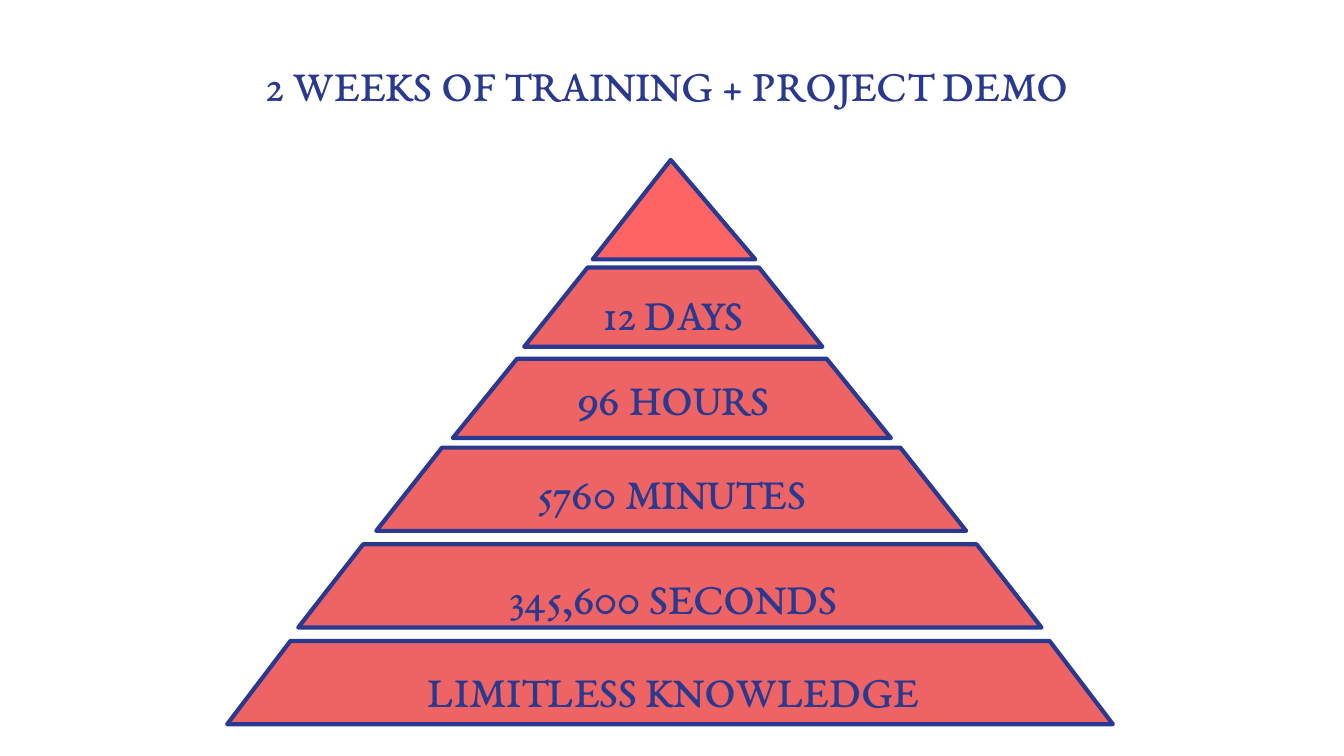
from pptx import Presentation
from pptx.dml.color import RGBColor
from pptx.enum.shapes import MSO_SHAPE as Shape
from pptx.enum.text import MSO_ANCHOR as Anchor, PP_ALIGN as Align
from pptx.util import Pt

NAVY, CORAL, BRIGHT_CORAL = "2A3990", "EE6464", "FF6464"
TIERS = [
    (280.8, 143.3, 159.8, 42.5, 0.8),
    (242.6, 192.2, 234.7, 42.5, 0.81),
    (201.6, 239.8, 316, 44.6, 0.79),
    (159.8, 291.6, 398.2, 44.6, 0.78),
    (121.7, 343.4, 474.5, 44.6, 0.76),
]
TOP_LABELS = [
    ("12 DAYS", (295.9, 149.8, 130.3, 34.6)),
    ("96 HOURS", (280.8, 195.8, 159.8, 34.6)),
    ("5760 MINUTES", (242.6, 246.2, 234.7, 34.6)),
]
BASE_LABELS = [("345,600 SECONDS", 280.8), ("LIMITLESS KNOWLEDGE", 330.5)]


def color(hex_code):
    """Turn a hex string into a colour."""
    return RGBColor.from_string(hex_code)


class PyramidSlide:
    """Hold the style and the slide the pyramid is built on."""

    def __init__(self, slide, font="EB Garamond", size=24):
        """Keep the slide and its text style."""
        self.slide, self.font, self.size = slide, font, size

    def set_line(self, frame, text, insets=(0, 0, 0, 0), anchor=Anchor.MIDDLE, spacing=1.1):
        """Fill a text frame with one centred line."""
        frame.word_wrap = True
        frame.vertical_anchor = anchor
        (frame.margin_left, frame.margin_top,
         frame.margin_right, frame.margin_bottom) = map(Pt, insets)
        frame.text = text
        line = frame.paragraphs[0]
        line.alignment, line.line_spacing = Align.CENTER, spacing
        style = line.runs[0].font
        style.name, style.size, style.bold = self.font, Pt(self.size), False
        style.color.rgb = color(NAVY)

    def title(self, text, box):
        """Place and format the title, lifted within its box."""
        heading = self.slide.shapes.title
        heading.left, heading.top, heading.width, heading.height = map(Pt, box)
        self.set_line(heading.text_frame, text, insets=(0, 0, 5, 30))

    def tier(self, kind, box, slant, fill):
        """Draw one outlined level of the pyramid."""
        level = self.slide.shapes.add_shape(kind, *map(Pt, box))
        level.adjustments[0] = slant
        level.shadow.inherit = False
        level.fill.solid()
        level.fill.fore_color.rgb = color(fill)
        level.line.color.rgb = color(NAVY)
        level.line.width = Pt(2.25)

    def label(self, text, box, **layout):
        """Add the caption of a level."""
        caption = self.slide.shapes.add_textbox(*map(Pt, box))
        self.set_line(caption.text_frame, text, **layout)


def main():
    """Build and save the slide."""
    deck = Presentation()
    deck.slide_width, deck.slide_height = Pt(720), Pt(405)
    pyramid = PyramidSlide(deck.slides.add_slide(deck.slide_layouts[5]))
    pyramid.title("2 WEEKS OF TRAINING + PROJECT DEMO", (0, 13, 720, 90.7))
    pyramid.tier(Shape.ISOSCELES_TRIANGLE, (317.5, 85.7, 87.1, 53.3), 0.48, BRIGHT_CORAL)
    for *box, slant in TIERS:
        pyramid.tier(Shape.TRAPEZOID, box, slant, CORAL)
    for text, box in TOP_LABELS:
        pyramid.label(text, box, insets=(5, 3, 5, 3), anchor=Anchor.TOP, spacing=1)
    for text, top in BASE_LABELS:
        pyramid.label(text, (96.5, top, 528.5, 74.9))
    deck.save("out.pptx")


if __name__ == "__main__":
    main()
